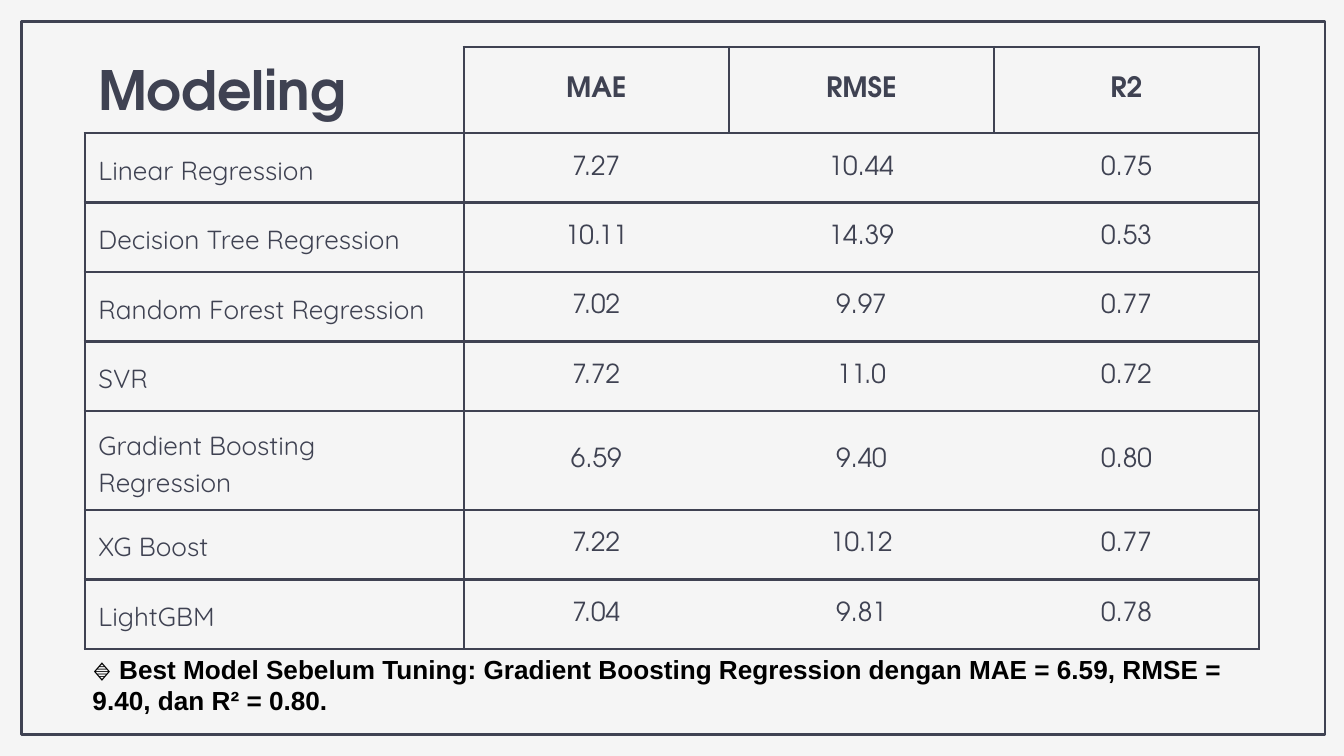
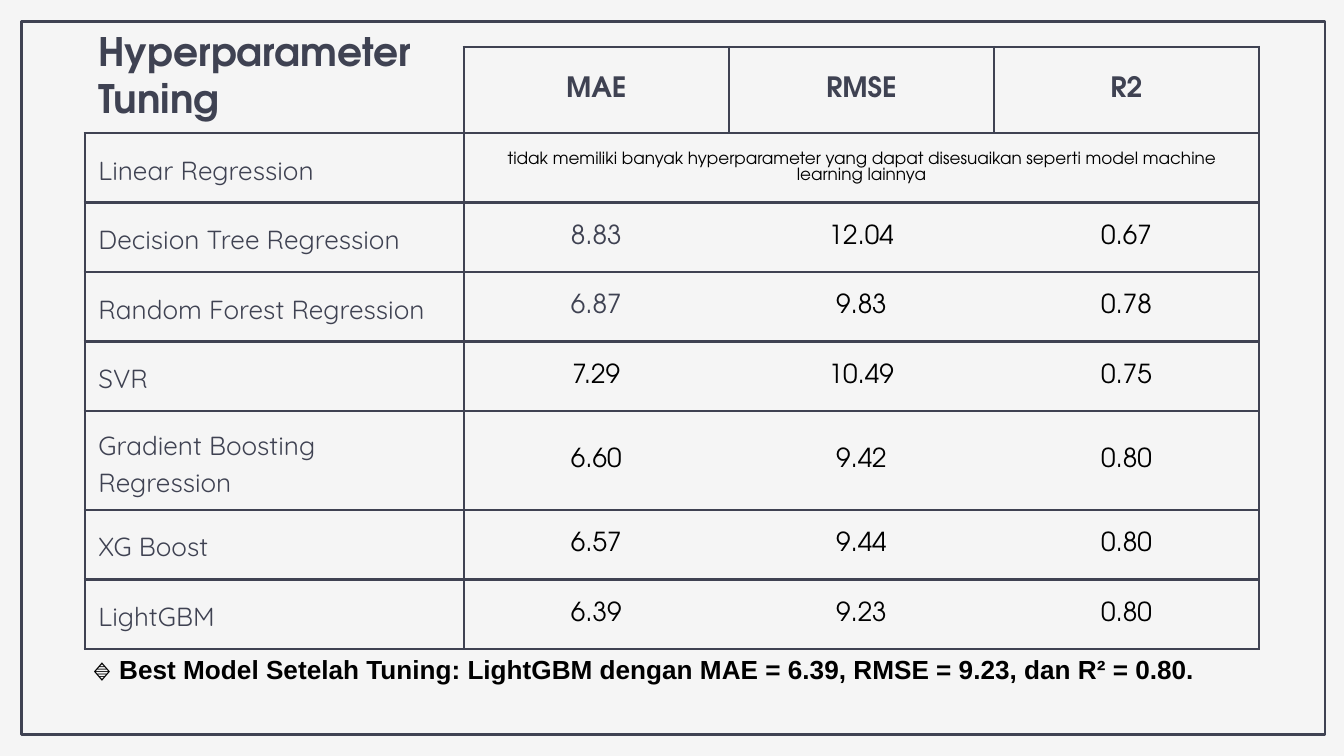
import pptx
import pptx.util
import pptx.dml.color
import pptx.enum.shapes
import pptx.enum.text
import pptx.oxml
import pptx.oxml.ns

Pt = pptx.util.Pt
Align = pptx.enum.text.PP_ALIGN
Anchor = pptx.enum.text.MSO_ANCHOR

# Shared look
INK = pptx.dml.color.RGBColor(0x3F, 0x42, 0x52)
BLACK = pptx.dml.color.RGBColor(0, 0, 0)
PAPER = pptx.dml.color.RGBColor(0xF5, 0xF5, 0xF5)
HEAD = "TeX Gyre Adventor"
BODY = "Quicksand"
NOTE = "Arial"
RULE = 1.5
INSET = Pt(7.2)

# Table grid
LEFT, TOP = 45.5, 25.2
COLS = [203, 142, 142, 142]
TOP_ROW, ROW = 46.2, 37.2
LAST = len(COLS) - 1

METRICS = ["MAE", "RMSE", "R2"]
MODELS = ["Linear Regression", "Decision Tree Regression",
          "Random Forest Regression", "SVR",
          "Gradient Boosting Regression", "XG Boost", "LightGBM"]

# Scores by model; a row with one entry spans all metrics
BASE = [["7.27", "10.44", "0.75"],
        ["10.11", "14.39", "0.53"],
        ["7.02", "9.97", "0.77"],
        ["7.72", "11.0", "0.72"],
        ["6.59", "9.40", "0.80"],
        ["7.22", "10.12", "0.77"],
        ["7.04", "9.81", "0.78"]]
TUNED = [["tidak memiliki banyak hyperparameter yang dapat disesuaikan "
          "seperti model machine learning lainnya"],
         ["8.83", "12.04", "0.67"],
         ["6.87", "9.83", "0.78"],
         ["7.29", "10.49", "0.75"],
         ["6.60", "9.42", "0.80"],
         ["6.57", "9.44", "0.80"],
         ["6.39", "9.23", "0.80"]]


def style(frame, font, size, color, bold=False, align=Align.LEFT, space=None):
    for para in frame.paragraphs:
        para.alignment = align
        if space:
            para.line_spacing = space
        for run in para.runs:
            run.font.name = font
            run.font.size = Pt(size)
            run.font.bold = bold
            run.font.color.rgb = color


def pad(item):
    item.margin_left = item.margin_right = INSET
    item.margin_top = item.margin_bottom = INSET


def add_text(slide, text, left, top, width, height, anchor, *look):
    box = slide.shapes.add_textbox(Pt(left), Pt(top), Pt(width), Pt(height))
    frame = box.text_frame
    frame.word_wrap = True
    frame.vertical_anchor = anchor
    pad(frame)
    frame.text = text
    style(frame, *look)
    return frame


def add_page(deck):
    slide = deck.slides.add_slide(deck.slide_layouts[6])
    slide.background.fill.solid()
    slide.background.fill.fore_color.rgb = PAPER
    edge = slide.shapes.add_shape(pptx.enum.shapes.MSO_SHAPE.RECTANGLE,
                                  Pt(11.5), Pt(11.5), Pt(698.4), Pt(382))
    edge.shadow.inherit = False
    edge.fill.background()
    edge.line.color.rgb = INK
    edge.line.width = Pt(RULE)
    return slide


def add_title(slide, text, size, top):
    add_text(slide, text, LEFT, top, 478, 72 - top, Anchor.BOTTOM,
             HEAD, size, INK, True)


def add_note(slide, text, height):
    frame = add_text(slide, text, 42.5, 342.7, 632, height, Anchor.TOP,
                     NOTE, 14, BLACK, True)
    frame.auto_size = pptx.enum.text.MSO_AUTO_SIZE.SHAPE_TO_FIT_TEXT


def draw_sides(cell, shown):
    """Rule the sides named in shown and leave the others open."""
    props = cell._tc.get_or_add_tcPr()
    for spot, side in enumerate("LRTB"):
        fill = (f'<a:solidFill><a:srgbClr val="{INK}"/></a:solidFill>'
                if side in shown else "<a:noFill/>")
        line = pptx.oxml.parse_xml(
            f'<a:ln{side} {pptx.oxml.ns.nsdecls("a")} w="{Pt(RULE)}">'
            f'{fill}</a:ln{side}>')
        props.insert(spot, line)


def pick_sides(row, col, span):
    """Scores have no inner uprights; the corner cell is open."""
    if row == 0:
        return "RB" if col == 0 else "LRTB"
    sides = "TB"
    if col <= 1:
        sides += "L"
    if col + span - 1 in (0, LAST):
        sides += "R"
    return sides


def add_scores(slide, scores, color, kept=()):
    """Scores take color, save for the (row, column) cells kept in INK."""
    grid = [[""] + METRICS]
    grid += [[name] + vals for name, vals in zip(MODELS, scores)]
    high = TOP_ROW + ROW * len(MODELS)
    table = slide.shapes.add_table(len(grid), len(COLS), Pt(LEFT), Pt(TOP),
                                   Pt(sum(COLS)), Pt(high)).table
    table.first_row = table.horz_banding = False
    for col, width in zip(table.columns, COLS):
        col.width = Pt(width)
    for num, row in enumerate(table.rows):
        row.height = Pt(ROW if num else TOP_ROW)

    for r, vals in enumerate(grid):
        wide = len(vals) == 2
        if wide:
            table.cell(r, 1).merge(table.cell(r, LAST))
        for c in range(len(COLS)):
            cell = table.cell(r, c)
            cell.fill.background()
            cell.vertical_anchor = Anchor.MIDDLE
            pad(cell)
            draw_sides(cell, pick_sides(r, c, cell.span_width))
            if c >= len(vals):
                continue
            cell.text = vals[c]
            frame = cell.text_frame
            if r == 0:
                style(frame, HEAD, 15, INK, True, Align.CENTER)
            elif c == 0:
                style(frame, BODY, 14, INK, space=1.15)
            else:
                style(frame, HEAD, 9 if wide else 14,
                      INK if (r, c) in kept else color, align=Align.CENTER)


def main():
    deck = pptx.Presentation()
    deck.slide_width, deck.slide_height = Pt(720), Pt(405)

    # Scores before tuning
    slide = add_page(deck)
    add_title(slide, "Modeling", 29, 8.6)
    add_scores(slide, BASE, INK)
    add_note(slide, "🔹 Best Model Sebelum Tuning: Gradient Boosting Regression "
             "dengan MAE = 6.59, RMSE = 9.40, dan R² = 0.80.", 48.2)

    # Scores after tuning
    slide = add_page(deck)
    add_title(slide, "Hyperparameter\nTuning", 21, 4.3)
    add_scores(slide, TUNED, BLACK, kept=[(2, 1), (3, 1)])
    add_note(slide, "🔹 Best Model Setelah Tuning: LightGBM dengan MAE = 6.39, "
             "RMSE = 9.23, dan R² = 0.80.", 31.7)

    deck.save("out.pptx")


if __name__ == "__main__":
    main()
